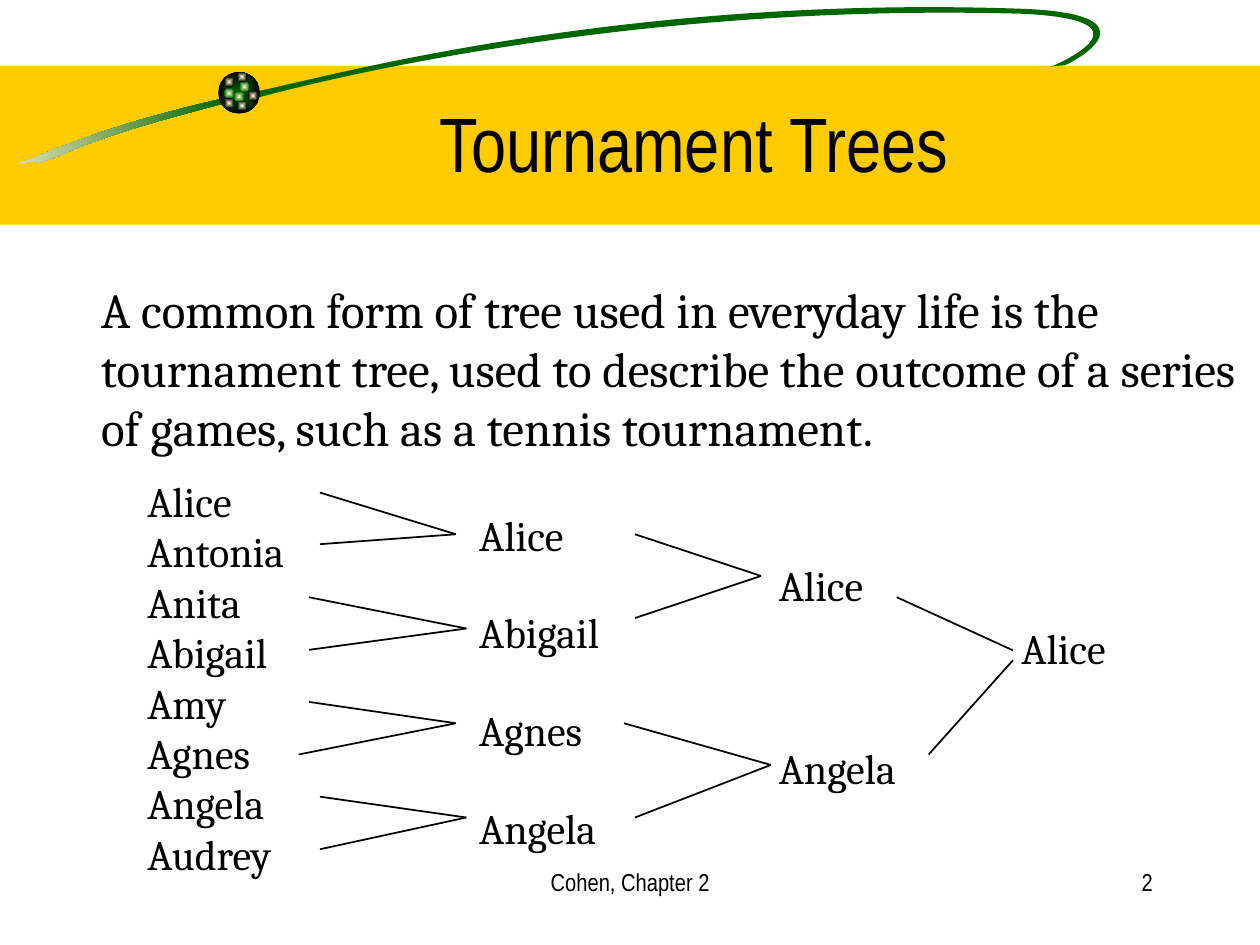
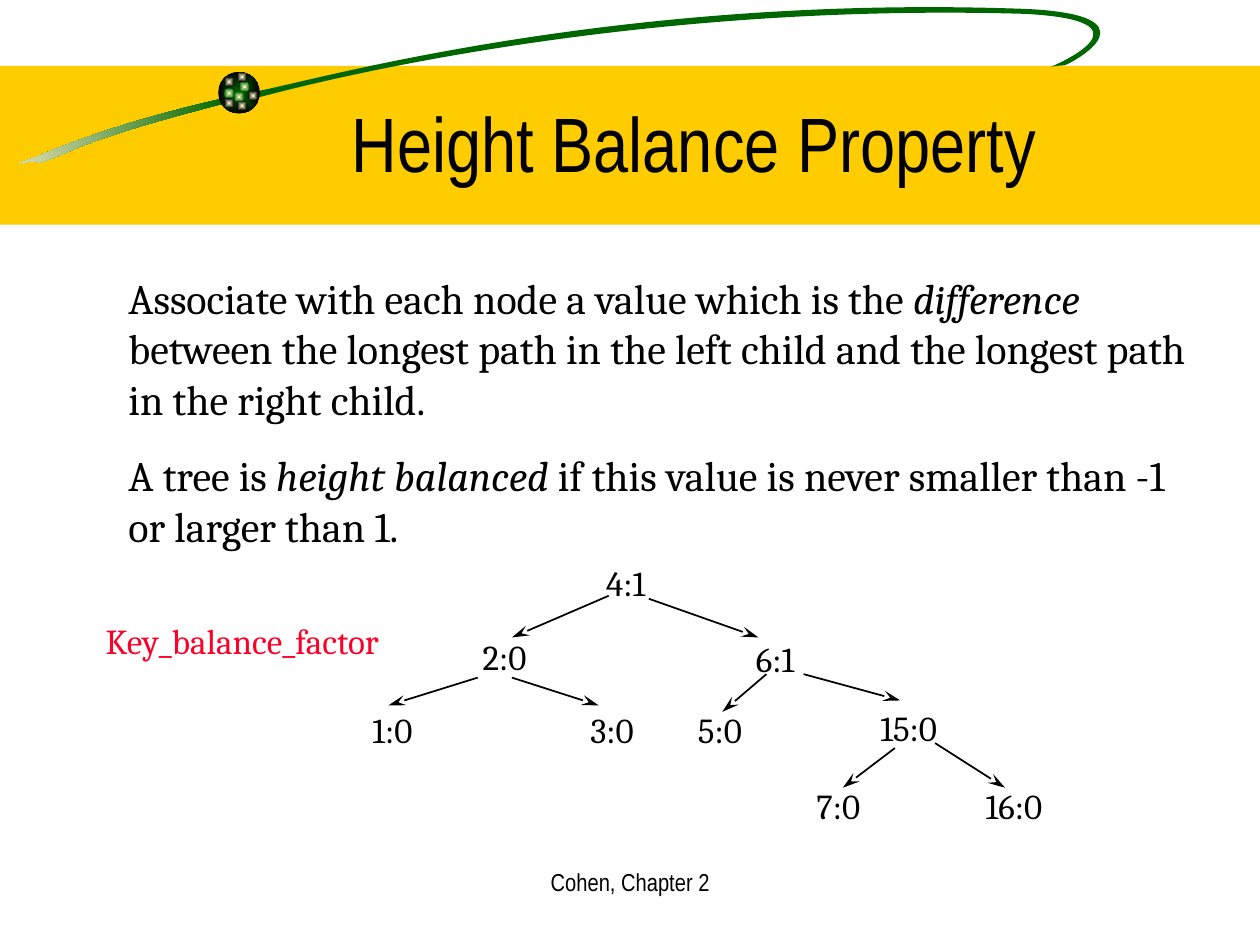
"""Build two slides on tournament trees and height balance."""
from dataclasses import dataclass
from math import cos, radians, sin
from typing import NamedTuple

from lxml.etree import SubElement
from pptx import Presentation
from pptx.dml.color import RGBColor as RGB
from pptx.enum.shapes import MSO_CONNECTOR as Link, MSO_SHAPE as Form
from pptx.enum.text import MSO_ANCHOR as Anchor, MSO_AUTO_SIZE as Fit, PP_ALIGN as Align
from pptx.oxml.ns import qn
from pptx.util import Cm, Pt


@dataclass(frozen=True)
class Theme:
    """Hold the colours, fonts and type sizes."""
    ink: RGB = RGB(0, 0, 0)
    white: RGB = RGB(0xFF, 0xFF, 0xFF)
    gold: RGB = RGB(0xFF, 0xCC, 0)
    green: RGB = RGB(0, 0x66, 0)
    sand: RGB = RGB(0xF5, 0xEB, 0xC1)
    cream: RGB = RGB(0xFF, 0xFF, 0xCC)
    red: RGB = RGB(0xFC, 0x01, 0x28)
    sans: str = "Arial Narrow"
    serif: str = "Cambria"
    title: int = 44
    lead: int = 28
    body: int = 24
    node: int = 20
    foot: int = 14


T = Theme()


class Box(NamedTuple):
    """Place a frame, in centimetres."""
    x: float
    y: float
    w: float
    h: float


class Line(NamedTuple):
    """Join two points, in centimetres."""
    x: float
    y: float
    tox: float
    toy: float


class Node(NamedTuple):
    """Name a tree node and its top left corner."""
    text: str
    x: float
    y: float


class Speck(NamedTuple):
    """Place a bright dot on the bead."""
    x: float
    y: float
    edge: RGB


class Curve(NamedTuple):
    """Hold a tilted frame and the cubic points drawn in it."""
    box: Box
    points: list


@dataclass(frozen=True)
class Block:
    """Describe a text box; asterisks mark italic words."""
    box: Box
    paras: tuple[str, ...]
    size: int
    font: str = T.serif
    color: RGB = T.ink
    gap: float = 0
    wrap: bool = False
    align: Align = Align.LEFT
    grow: bool = True


TILT = 8.5
BAND = Box(0, 1.33, 25.4, 3.2)
PANEL = Box(1.88, 5.23, 3.1, 13.82)
TITLE = Box(3.2, 1.27, 21.59, 3.18)
BEAD = Box(4.4, 1.45, 0.84, 0.84)
FOOT = Block(Box(8.68, 17.35, 8.05, 1.27), ("Cohen, Chapter 2",), T.foot, T.sans,
             wrap=True, align=Align.CENTER, grow=False)
PAGE = Block(Box(18.21, 17.35, 5.28, 1.27), ("2",), T.foot, T.sans,
             wrap=True, align=Align.RIGHT, grow=False)
TAIL = Curve(Box(-0.08, 2.31, 4.67, 0.76), [
    (4.52, 1.98), (2.31, 2.49), (1.24, 2.95), (0.64, 3.2), (0.03, 3.4), (0.66, 3.2),
    (0.79, 3.28), (1.45, 3.1), (1.45, 2.87), (4.55, 2.08), (4.55, 2.08), (4.52, 1.98),
    (4.52, 1.98)])
SWOOSH = Curve(Box(5.11, -0.38, 18.19, 2.77), [
    (5.13, 1.85), (6.25, 1.65), (12.34, -0.13), (20.68, 0.18), (23.29, 0.3),
    (21.77, 1.19), (21.46, 1.32), (21.46, 1.32), (21.29, 1.32), (21.18, 1.35),
    (21.44, 1.24), (23.27, 0.41), (20.65, 0.28), (13.92, 0.08), (8.13, 1.19),
    (5.23, 1.96), (5.23, 1.96), (5.13, 1.85), (5.13, 1.85)])
SPECKS = [Speck(4.83, 1.65, T.green), Speck(4.52, 1.55, T.ink), Speck(4.52, 1.78, T.green),
          Speck(4.72, 1.85, T.green), Speck(5, 1.83, T.ink), Speck(4.78, 2.03, T.ink),
          Speck(4.52, 1.98, T.ink), Speck(4.78, 1.45, T.ink)]

ROUNDS = [
    Block(Box(1.79, 5.51, 24.13, 5),
          ("A common form of tree used in everyday life is the tournament tree, used to "
           "describe the outcome of a series of games, such as a tennis tournament.",),
          T.lead, gap=17.5, wrap=True),
    Block(Box(2.72, 9.46, 3.73, 8.38),
          ("Alice", "Antonia", "Anita", "Abigail", "Amy", "Agnes", "Angela", "Audrey"),
          T.body),
    Block(Box(9.41, 10.14, 3.61, 7.19), ("Alice", "Abigail", "Agnes", "Angela"), T.body,
          gap=27, wrap=True),
    Block(Box(15.45, 11.16, 3.3, 4.95), ("Alice", "Angela"), T.body, gap=75.6),
    Block(Box(20.34, 12.42, 2.51, 1.27), ("Alice",), T.body),
]
GAMES = [
    Line(6.45, 9.93, 9.19, 10.77), Line(6.45, 10.97, 9.19, 10.77),
    Line(6.23, 12.04, 9.4, 12.67), Line(6.23, 13.1, 9.4, 12.67),
    Line(6.23, 14.15, 9.19, 14.58), Line(6.02, 15.21, 9.19, 14.58),
    Line(6.45, 16.06, 9.4, 16.48), Line(6.45, 17.12, 9.4, 16.48),
    Line(12.8, 10.77, 15.34, 11.61), Line(12.8, 12.46, 15.34, 11.61),
    Line(12.58, 14.58, 15.54, 15.42), Line(12.8, 16.48, 15.54, 15.42),
    Line(18.08, 12.04, 20.42, 13.11), Line(18.72, 15.21, 20.42, 13.31),
]
RULES = [
    Block(Box(2.34, 5.37, 21.82, 5.87),
          ("Associate with each node a value which is the *difference* between the longest "
           "path in the left child and the longest path in the right child.",
           "A tree is *height balanced *if this value is never smaller than -1 or larger "
           "than 1."), T.body, gap=15, wrap=True),
]
KEY = Block(Box(1.88, 12.37, 7.06, 1.09), ("Key_balance_factor",), T.node, color=T.red)
NODES = [Node("4:1", 11.97, 11.2), Node("2:0", 9.48, 12.68), Node("6:1", 14.99, 12.73),
         Node("1:0", 7.26, 14.15), Node("3:0", 11.65, 14.15), Node("5:0", 13.82, 14.15),
         Node("15:0", 17.5, 14.11), Node("7:0", 16.21, 15.7), Node("16:0", 19.62, 15.7)]
EDGES = [
    Line(13.08, 12.07, 15.29, 12.85), Line(12.27, 12.01, 10.32, 12.85),
    Line(16.2, 13.59, 18.15, 14.12), Line(9.63, 13.66, 7.83, 14.22),
    Line(10.32, 13.66, 12.07, 14.22), Line(15.45, 13.59, 14.56, 14.35),
    Line(18.85, 14.98, 20.26, 15.88), Line(18.04, 15.08, 16.99, 15.88),
]


def style(run, font: str, size: int, color: RGB) -> None:
    """Set the font of one run."""
    run.font.name, run.font.size = font, Pt(size)
    run.font.color.rgb = color


def plain(shape):
    """Strip the shadow and outline of a shape."""
    shape.shadow.inherit = False
    shape.line.fill.background()
    return shape


def add_form(slide, kind: Form, box: Box):
    """Add a plain preset shape."""
    return plain(slide.shapes.add_shape(kind, *map(Cm, box)))


def paint(shape, color: RGB) -> None:
    """Fill a shape with one colour."""
    shape.fill.solid()
    shape.fill.fore_color.rgb = color


def blend(shape, start: RGB, end: RGB) -> None:
    """Fill a shape with a two-colour gradient."""
    shape.fill.gradient()
    for stop, color in zip(shape.fill.gradient_stops, (start, end)):
        stop.color.rgb = color


def add_orb(slide, box: Box, core: RGB, edge: RGB) -> None:
    """Add a disc that fades from its centre to its edge."""
    orb = add_form(slide, Form.OVAL, box)
    blend(orb, core, edge)
    grad = orb.element.spPr.find(qn("a:gradFill"))
    grad.remove(grad.find(qn("a:lin")))
    fade = SubElement(grad, qn("a:path"), {"path": "rect"})
    SubElement(fade, qn("a:fillToRect"), dict.fromkeys("ltrb", "50000"))


def level(curve: Curve) -> list:
    """Turn the points back into the untilted frame."""
    x, y, w, h = curve.box
    c, s = cos(radians(TILT)), sin(radians(TILT))
    gaps = [(px - x - w / 2, py - y - h / 2) for px, py in curve.points]
    return [(Cm(w / 2 + dx * c - dy * s), Cm(h / 2 + dx * s + dy * c)) for dx, dy in gaps]


def add_curve(slide, curve: Curve):
    """Add a closed, tilted outline made of cubic curves."""
    dots = level(curve)
    pen = slide.shapes.build_freeform(*dots[0])
    pen.add_line_segments(dots[3::3], close=True)
    shape = plain(pen.convert_to_shape())
    shape.left, shape.top, shape.width, shape.height = map(Cm, curve.box)
    shape.rotation = 360 - TILT
    track = next(shape.element.iter(qn("a:path")))
    track.clear()
    track.set("w", str(shape.width))
    track.set("h", str(shape.height))
    parts = [("a:moveTo", dots[:1])]
    parts += [("a:cubicBezTo", dots[i:i + 3]) for i in range(1, len(dots), 3)]
    for tag, spots in parts + [("a:close", [])]:
        step = SubElement(track, qn(tag))
        for x, y in spots:
            SubElement(step, qn("a:pt"), {"x": str(x), "y": str(y)})
    return shape


def add_decor(slide) -> None:
    """Draw the band, the swoosh, the bead and the pale panel."""
    paint(add_form(slide, Form.RECTANGLE, BAND), T.gold)
    tail = add_curve(slide, TAIL)
    blend(tail, T.green, T.sand)
    tail.fill.gradient_angle = 180
    paint(add_curve(slide, SWOOSH), T.green)
    add_orb(slide, BEAD, T.green, T.ink)
    for speck in SPECKS:
        add_orb(slide, Box(speck.x, speck.y, 0.2, 0.2), T.cream, speck.edge)
    panel = add_form(slide, Form.RECTANGLE, PANEL)
    paint(panel, T.white)
    tint = next(panel.element.spPr.iter(qn("a:srgbClr")))
    SubElement(tint, qn("a:alpha"), {"val": "50000"})


def share(slide, layout) -> None:
    """Move the decor into the layout, behind its title."""
    add_decor(slide)
    head, *rest = layout.placeholders
    for hold in rest:
        hold.element.getparent().remove(hold.element)
    for shape in list(slide.shapes):
        if not shape.is_placeholder:
            head.element.addprevious(shape.element)


def add_title(slide, text: str) -> None:
    """Place and format the title."""
    title = slide.shapes.title
    title.left, title.top, title.width, title.height = map(Cm, TITLE)
    frame = title.text_frame
    frame.text = text
    frame.auto_size, frame.vertical_anchor = Fit.NONE, Anchor.MIDDLE
    frame.paragraphs[0].alignment = Align.CENTER
    style(frame.paragraphs[0].runs[0], T.sans, T.title, T.ink)


def add_block(slide, block: Block) -> None:
    """Add a text box with its paragraphs."""
    frame = slide.shapes.add_textbox(*map(Cm, block.box)).text_frame
    frame.word_wrap = block.wrap
    frame.auto_size = Fit.SHAPE_TO_FIT_TEXT if block.grow else Fit.NONE
    frame.text = "\n".join(block.paras)
    for para, text in zip(frame.paragraphs, block.paras):
        para.alignment, para.space_before = block.align, Pt(block.gap)
        para.text, *rest = text.split("*")
        for i, part in enumerate(rest):
            run = para.add_run()
            run.text, run.font.italic = part, i % 2 == 0
        for run in para.runs:
            style(run, block.font, block.size, block.color)


def add_line(slide, line: Line, arrow: bool) -> None:
    """Add a thin line, with an arrowhead if asked."""
    link = slide.shapes.add_connector(Link.STRAIGHT, *map(Cm, line))
    link.line.color.rgb, link.line.width = T.ink, Pt(1)
    if arrow:
        SubElement(link.element.spPr.find(qn("a:ln")), qn("a:tailEnd"),
                   {"type": "stealth", "w": "med", "len": "lg"})
    SubElement(link.element.spPr, qn("a:effectLst"))


def fill_slide(slide, title: str, blocks: list, lines: list, last: list,
               arrow: bool = False) -> None:
    """Put the title, text, lines and closing text on a slide."""
    add_title(slide, title)
    for block in blocks:
        add_block(slide, block)
    for line in lines:
        add_line(slide, line, arrow)
    for block in last:
        add_block(slide, block)


def main() -> None:
    """Build and save the deck."""
    deck = Presentation()
    deck.slide_width, deck.slide_height = Cm(25.4), Cm(19.05)
    layout = deck.slide_layouts[5]
    games, height = (deck.slides.add_slide(layout) for _ in range(2))
    share(games, layout)
    fill_slide(games, "Tournament Trees", ROUNDS, GAMES, [FOOT, PAGE])
    tree = [Block(Box(n.x, n.y, 1.5 if len(n.text) < 4 else 1.9, 1.09), (n.text,), T.node)
            for n in NODES]
    fill_slide(height, "Height Balance Property", RULES + tree, EDGES, [KEY, FOOT], True)
    deck.save("out.pptx")


if __name__ == "__main__":
    main()
